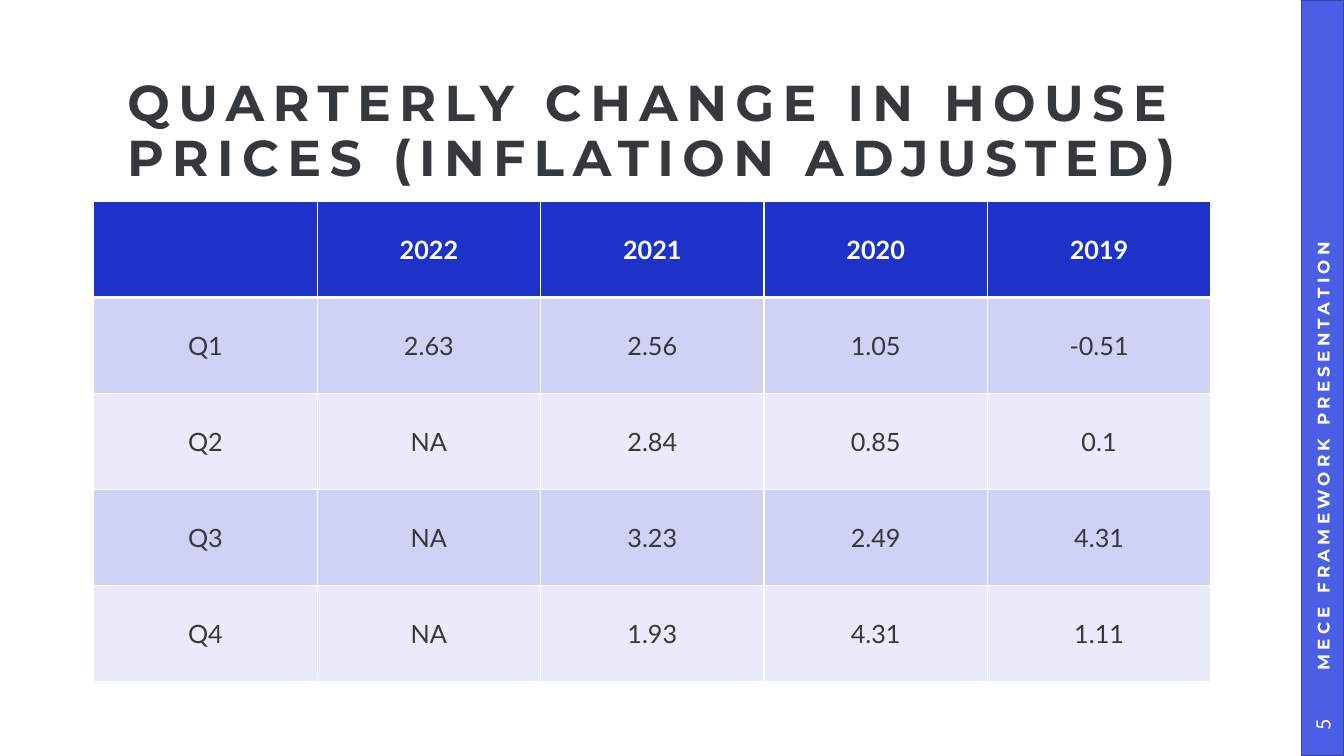
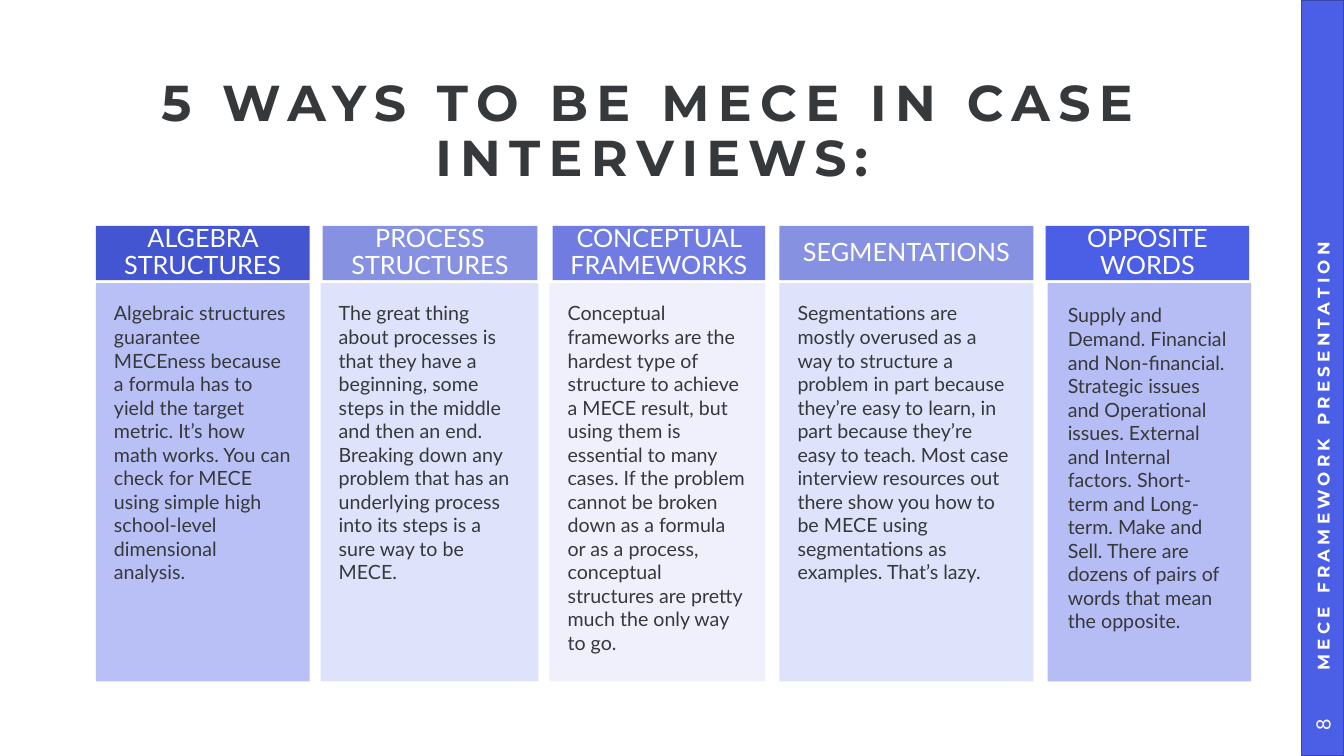
from dataclasses import dataclass

from lxml.etree import SubElement as Sub
from pptx import Presentation
from pptx.dml.color import RGBColor as Rgb
from pptx.enum.shapes import MSO_SHAPE as Shape
from pptx.enum.text import MSO_ANCHOR as Anchor, MSO_AUTO_SIZE as Auto, PP_ALIGN as Align
from pptx.oxml.ns import qn
from pptx.util import Inches, Pt


@dataclass(frozen=True)
class Theme:
    # Colours
    ink: str = "36393B"
    white: str = "FFFFFF"
    band: str = "4A5EE6"
    edge: str = "3746AA"
    head: str = "1C32C8"
    rows: tuple = ("D0D2F5", "E9EAFA")
    # Fonts and type sizes
    bold_face: str = "Montserrat"
    text_face: str = "Lato"
    title: int = 36
    label: int = 18
    body: int = 14
    foot: int = 12


T = Theme()
WIDE, HIGH, STRIP = 13.33, 7.5, 0.42

DATA = [
    ["", "2022", "2021", "2020", "2019"],
    ["Q1", "2.63", "2.56", "1.05", "-0.51"],
    ["Q2", "NA", "2.84", "0.85", "0.1"],
    ["Q3", "NA", "3.23", "2.49", "4.31"],
    ["Q4", "NA", "1.93", "4.31", "1.11"],
]

# Each card: (label, left, width, colour, alpha), (text, left, width, colour, alpha, inset)
CARDS = [
    (("ALGEBRA STRUCTURES", 0.95, 2.12, "4355D1", 100),
     ("Algebraic structures guarantee MECEness because a formula has to yield the target "
      "metric. It’s how math works. You can check for MECE using simple high school-level "
      "dimensional analysis.", 0.95, 2.12, "929EF0", 64, 0.18)),
    (("PROCESS STRUCTURES", 3.2, 2.13, T.head, 53),
     ("The great thing about processes is that they have a beginning, some steps in the "
      "middle and then an end. Breaking down any problem that has an underlying process "
      "into its steps is a sure way to be MECE.", 3.18, 2.16, "B7BFF5", 45, 0.18)),
    (("CONCEPTUAL FRAMEWORKS", 5.48, 2.11, "707CE1", 100),
     ("Conceptual frameworks are the hardest type of structure to achieve a MECE result, "
      "but using them is essential to many cases. If the problem cannot be broken down as "
      "a formula or as a process, conceptual structures are pretty much the only way to go.",
      5.45, 2.14, "DBDFFA", 44, 0.18)),
    (("SEGMENTATIONS", 7.73, 2.52, T.head, 53),
     ("Segmentations are mostly overused as a way to structure a problem in part because "
      "they’re easy to learn, in part because they’re easy to teach. Most case interview "
      "resources out there show you how to be MECE using segmentations as examples. "
      "That’s lazy.", 7.73, 2.52, "B7BFF5", 45, 0.18)),
    (("OPPOSITE WORDS", 10.37, 2.02, T.band, 100),
     ("Supply and Demand. Financial and Non-financial. Strategic issues and Operational "
      "issues. External and Internal factors. Short-term and Long-term. Make and Sell. "
      "There are dozens of pairs of words that mean the opposite.",
      10.39, 2.02, "929EF0", 68, 0.2)),
]


def paint(fill, color, alpha=100):
    fill.solid()
    fill.fore_color.rgb = Rgb.from_string(color)
    if alpha < 100:
        tone = fill.fore_color._xFill.find(qn("a:srgbClr"))
        Sub(tone, qn("a:alpha"), val=str(alpha * 1000))


def write(frame, text, size, color, face=T.text_face, bold=False, space=0,
          align=Align.LEFT, lead=None, anchor=Anchor.MIDDLE, inset=None):
    """Put one run of text in a frame; inset is left, top, right, bottom."""
    frame.word_wrap = True
    frame.auto_size = Auto.NONE
    frame.vertical_anchor = anchor
    if inset:
        (frame.margin_left, frame.margin_top,
         frame.margin_right, frame.margin_bottom) = map(Inches, inset)
    style(frame.paragraphs[0], text, size, color, face, bold, space, align, lead)


def style(para, text, size, color, face, bold, space=0, align=Align.CENTER, lead=None):
    para.alignment = align
    if lead:
        para.line_spacing = lead
    run = para.add_run()
    run.text = text
    font = run.font
    font.size, font.name, font.bold = Pt(size), face, bold
    font.color.rgb = Rgb.from_string(color)
    if space:
        run._r.get_or_add_rPr().set("spc", str(space * 100))


def block(slide, box, color, alpha=100, line=None):
    rect = slide.shapes.add_shape(Shape.RECTANGLE, *map(Inches, box))
    rect.shadow.inherit = False
    paint(rect.fill, color, alpha)
    if line:
        rect.line.color.rgb = Rgb.from_string(line)
        rect.line.width = Pt(1)
    else:
        rect.line.fill.background()
    return rect


def upright(slide, box, text, size, **look):
    note = slide.shapes.add_textbox(*map(Inches, box))
    note.rotation = 270
    write(note.text_frame, text, size, T.white, **look)


def side(slide, number):
    """Side band with the running title and the page number."""
    left = WIDE - STRIP
    block(slide, (left, 0, STRIP, HIGH), T.band, line=T.edge)
    mid = left + STRIP / 2
    for span, center, text, size, look in (
        (6.88, 3.44, "MECE FRAMEWORK PRESENTATION", T.foot,
         dict(face=T.bold_face, bold=True, space=3, inset=(0.23, 0.05, 0.1, 0.05))),
        (0.62, 7.19, str(number), T.body, dict(align=Align.CENTER)),
    ):
        box = (mid - span / 2, center - STRIP / 2, span, STRIP)
        upright(slide, box, text, size, **look)


def start(deck, title, number):
    """New slide with its title and side band."""
    slide = deck.slides.add_slide(deck.slide_layouts[5])
    head = slide.shapes.title
    head.left, head.top, head.width, head.height = map(Inches, (0.93, 0.96, 11.07, 0.71))
    write(head.text_frame, title, T.title, T.ink, T.bold_face, True, 6,
          Align.CENTER, 0.9, inset=(0, 0, 0, 0))
    side(slide, number)
    return slide


def border(cell, top, bottom):
    props = cell._tc.get_or_add_tcPr()
    for tag, width in (("lnL", 1), ("lnR", 1), ("lnT", top), ("lnB", bottom)):
        line = Sub(props, qn("a:" + tag), w=str(Pt(width)))
        Sub(Sub(line, qn("a:solidFill")), qn("a:srgbClr"), val=T.white)


def table(slide, box, data):
    """Price table: dark head row over rows in two tints."""
    count, across = len(data), len(data[0])
    grid = slide.shapes.add_table(count, across, *map(Inches, box)).table
    for col in grid.columns:
        col.width = Inches(box[2] / across)
    for i, row in enumerate(data):
        grid.rows[i].height = Inches(box[3] / count)
        first = i == 0
        for j, text in enumerate(row):
            cell = grid.cell(i, j)
            # Borders stand before the fill in the cell
            border(cell, 3 if i == 1 else 1, 3 if first else 1)
            paint(cell.fill, T.head if first else T.rows[(i - 1) % 2])
            cell.vertical_anchor = Anchor.MIDDLE
            if text:
                style(cell.text_frame.paragraphs[0], text, T.label,
                      T.white if first else T.ink, T.text_face, first)


def cards(slide, top, base, data):
    """Row of cards: a label above a panel of text."""
    tall, gap = 0.54, 0.03
    low = top + tall + gap
    for (label, left, width, color, alpha), (text, x, wide, tint, clear, pad) in data:
        tab = block(slide, (left, top, width, tall), color, alpha)
        write(tab.text_frame, label, T.label, T.white, align=Align.CENTER,
              lead=0.9, inset=(0.14,) * 4)
        panel = block(slide, (x, low, wide, base - low), tint, clear)
        write(panel.text_frame, text, T.body, T.ink, anchor=Anchor.TOP, inset=(pad,) * 4)


def main():
    deck = Presentation()
    deck.slide_width, deck.slide_height = Inches(WIDE), Inches(HIGH)

    # House prices
    slide = start(deck, "QUARTERLY CHANGE IN HOUSE PRICES (INFLATION ADJUSTED)", 5)
    table(slide, (0.93, 2, 11.08, 4.76), DATA)

    # Five ways
    slide = start(deck, "5 WAYS TO BE MECE IN CASE INTERVIEWS:", 8)
    cards(slide, 2.24, 6.76, CARDS)

    deck.save("out.pptx")


if __name__ == "__main__":
    main()
